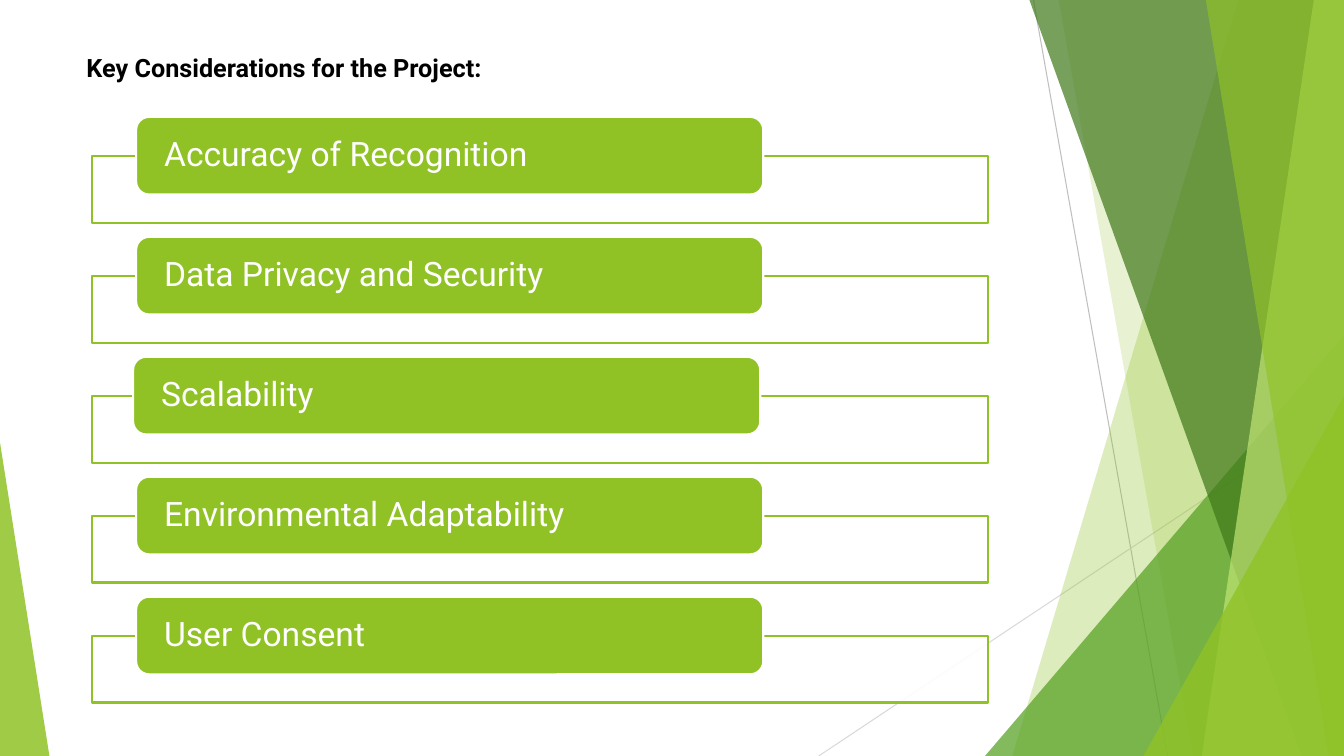
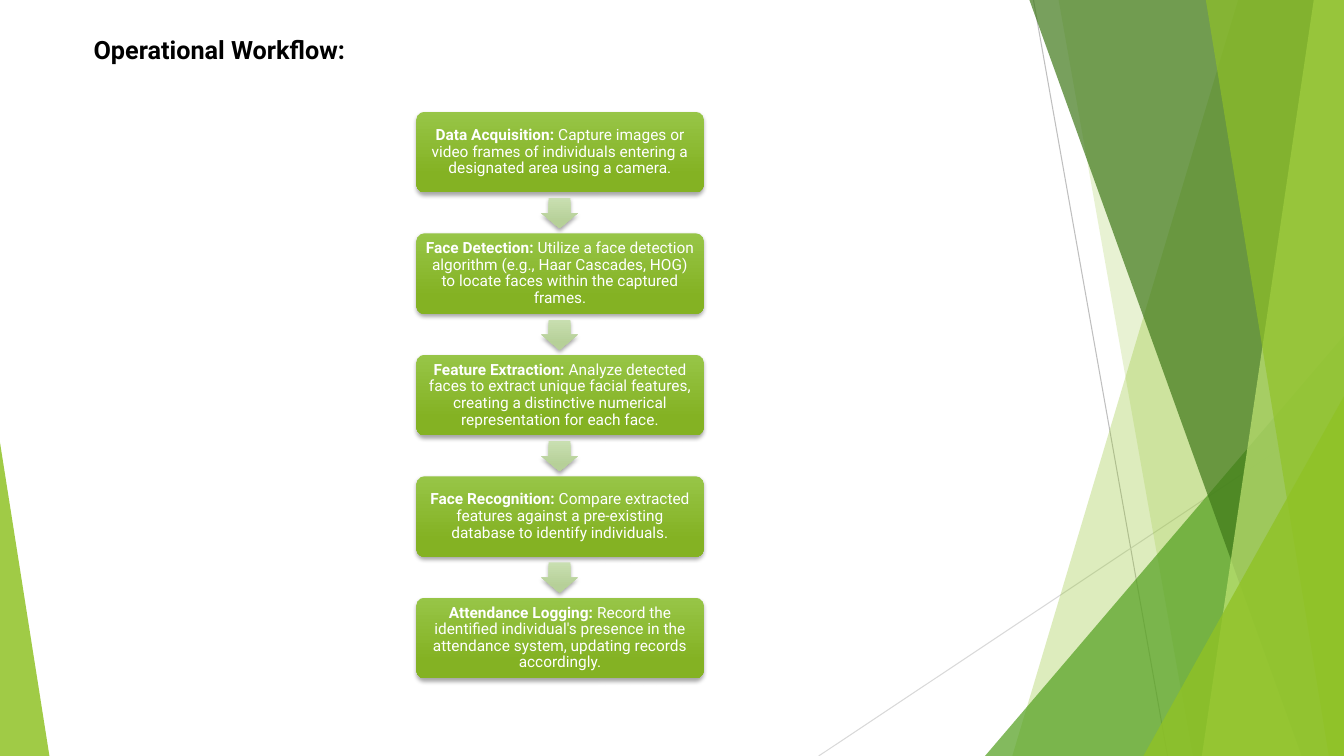
import dataclasses

import lxml.etree
import pptx
import pptx.dml.color
import pptx.enum.shapes
import pptx.enum.text
import pptx.oxml.ns
import pptx.util

Inches = pptx.util.Inches
Pt = pptx.util.Pt
SHAPE = pptx.enum.shapes.MSO_SHAPE
ALIGN = pptx.enum.text.PP_ALIGN
qn = pptx.oxml.ns.qn


@dataclasses.dataclass(frozen=True)
class Theme:
    font: str = "Roboto"
    title_size: int = 18
    tab_size: int = 24
    step_size: int = 11
    black: str = "000000"
    white: str = "FFFFFF"
    lime: str = "90C226"
    green: str = "54A021"
    dark_green: str = "3F7819"
    pale_lime: str = "C0E474"
    gray: str = "BFBFBF"
    light_gray: str = "D9D9D9"
    step_gradient: tuple = ("97C547", "84B223")
    arrow_gradient: tuple = ("C9DFB1", "B6D098")


THEME = Theme()
WIDTH, HEIGHT = 13.33, 7.5

CONSIDERATIONS = [
    ("Accuracy of Recognition", 1.35),
    ("Data Privacy and Security", 1.35),
    ("Scalability", 1.32),
    ("Environmental Adaptability", 1.35),
    ("User Consent", 1.35),
]

STEPS = [
    ("Data Acquisition:",
     " Capture images or video frames of individuals entering a designated area using a camera."),
    ("Face Detection:",
     " Utilize a face detection algorithm (e.g., Haar Cascades, HOG) to locate faces within the captured frames."),
    ("Feature Extraction:",
     " Analyze detected faces to extract unique facial features, creating a distinctive numerical "
     "representation for each face."),
    ("Face Recognition:",
     " Compare extracted features against a pre-existing database to identify individuals."),
    ("Attendance Logging:",
     " Record the identified individual's presence in the attendance system, updating records accordingly."),
]


def rgb(color):
    return pptx.dml.color.RGBColor.from_string(color)


def paint(sp, color, opacity=100):
    sp.shadow.inherit = False
    sp.fill.solid()
    sp.fill.fore_color.rgb = rgb(color)
    if opacity < 100:
        clr = sp.element.spPr.find(qn("a:solidFill")).find(qn("a:srgbClr"))
        lxml.etree.SubElement(clr, qn("a:alpha"), val=str(opacity * 1000))
    sp.line.fill.background()


def outline(sp, color, width=1.5):
    sp.line.color.rgb = rgb(color)
    sp.line.width = Pt(width)


def add_shape(s, kind, x, y, w, h, adjustments=()):
    sp = s.shapes.add_shape(kind, Inches(x), Inches(y), Inches(w), Inches(h))
    for i, value in enumerate(adjustments):
        sp.adjustments[i] = value
    return sp


def add_line(s, x1, y1, x2, y2, color):
    line = s.shapes.add_connector(pptx.enum.shapes.MSO_CONNECTOR.STRAIGHT,
                                  Inches(x1), Inches(y1), Inches(x2), Inches(y2))
    outline(line, color, 0.75)
    lxml.etree.SubElement(line.element.spPr, qn("a:effectLst"))


def add_band(s, top_left, bottom_left, color, opacity):
    start, *rest = [(Inches(x), Inches(y)) for x, y in (
        (top_left, 0), (WIDTH, 0), (WIDTH, HEIGHT), (bottom_left, HEIGHT))]
    builder = s.shapes.build_freeform(*start)
    builder.add_line_segments(rest, close=True)
    paint(builder.convert_to_shape(), color, opacity)


def add_corner(s, x, y, w, peak, color, opacity):
    sp = add_shape(s, SHAPE.ISOSCELES_TRIANGLE, x, y, w, HEIGHT - y, [peak])
    paint(sp, color, opacity)


def add_run(p, text, size, color, bold=False):
    r = p.add_run()
    r.text = text
    r.font.name = THEME.font
    r.font.size = Pt(size)
    r.font.bold = bold
    r.font.color.rgb = rgb(color)


def first_paragraph(sp, align, inset_x, inset_y):
    tf = sp.text_frame
    tf.word_wrap = True
    tf.vertical_anchor = pptx.enum.text.MSO_ANCHOR.MIDDLE
    tf.margin_left = tf.margin_right = Inches(inset_x)
    tf.margin_top = tf.margin_bottom = Inches(inset_y)
    p = tf.paragraphs[0]
    p.alignment = align
    p.line_spacing = 0.9
    return p


def add_title(s, text, x, y):
    tf = s.shapes.add_textbox(Inches(x), Inches(y), Inches(6.67), Inches(0.4)).text_frame
    tf.word_wrap = True
    add_run(tf.paragraphs[0], text, THEME.title_size, THEME.black, True)


def add_consideration(s, text, tab_x, y):
    frame = add_shape(s, SHAPE.RECTANGLE, 0.91, y, 8.89, 0.66)
    paint(frame, THEME.white, 90)
    outline(frame, THEME.lime)
    tab = add_shape(s, SHAPE.ROUNDED_RECTANGLE, tab_x, y - 0.39, 6.22, 0.77)
    paint(tab, THEME.lime)
    outline(tab, THEME.white)
    p = first_paragraph(tab, ALIGN.LEFT, 0.24, 0)
    add_run(p, text, THEME.tab_size, THEME.white)


def add_raised(s, kind, x, y, w, h, adjustments, gradient):
    sp = add_shape(s, kind, x, y, w, h, adjustments)
    sp.fill.gradient()
    sp.fill.gradient_angle = 270
    for stop, color, position in zip(sp.fill.gradient_stops, gradient, (0, 0.78)):
        stop.color.rgb = rgb(color)
        stop.position = position
    sp.line.fill.background()
    sp.shadow.inherit = False
    effects = sp.element.spPr.find(qn("a:effectLst"))
    shadow = lxml.etree.SubElement(effects, qn("a:outerShdw"), blurRad=str(Pt(3)),
                                   dist=str(Pt(2)), dir="5400000", rotWithShape="0")
    clr = lxml.etree.SubElement(shadow, qn("a:srgbClr"), val=THEME.black)
    lxml.etree.SubElement(clr, qn("a:alpha"), val="35000")
    return sp


def add_step(s, label, detail, y):
    box = add_raised(s, SHAPE.ROUNDED_RECTANGLE, 4.13, y, 2.85, 0.8, [0.1], THEME.step_gradient)
    p = first_paragraph(box, ALIGN.CENTER, 0.05, 0.05)
    add_run(p, label, THEME.step_size, THEME.white, True)
    add_run(p, detail, THEME.step_size, THEME.white)


def add_backdrop(s):
    add_line(s, 10.25, 0, 11.58, HEIGHT, THEME.gray)
    add_line(s, WIDTH, 4.03, 8.12, HEIGHT, THEME.light_gray)
    add_band(s, 12.28, 10.04, THEME.lime, 30)
    add_band(s, 10.5, 11.83, THEME.lime, 20)
    add_corner(s, 9.77, 3.33, 3.56, 1, THEME.green, 72)
    add_band(s, 10.21, 12.91, THEME.dark_green, 70)
    add_band(s, 13.03, 11.92, THEME.pale_lime, 70)
    add_band(s, 11.96, 13.18, THEME.lime, 65)
    add_corner(s, 11.34, 3.93, 1.99, 1, THEME.lime, 80)
    add_corner(s, 0, 4.39, 0.49, 0, THEME.lime, 85)


def move_to_layout(s, layout):
    tree = layout.shapes.element
    for placeholder in list(layout.placeholders):
        tree.remove(placeholder.element)
    for sp in list(s.shapes):
        tree.append(sp.element)


def build_considerations(s):
    add_title(s, "Key Considerations for the Project:", 0.76, 0.47)
    for i, (text, tab_x) in enumerate(CONSIDERATIONS):
        add_consideration(s, text, tab_x, 1.55 + 1.19 * i)


def build_workflow(s):
    add_title(s, "Operational Workflow:", 0.83, 0.29)
    for i, (label, detail) in enumerate(STEPS):
        y = 1.11 + 1.205 * i
        if i:
            add_raised(s, SHAPE.DOWN_ARROW, 5.37, y - 0.35, 0.36, 0.3, [0.6, 0.5],
                       THEME.arrow_gradient)
        add_step(s, label, detail, y)


def main():
    prs = pptx.Presentation()
    prs.slide_width = Inches(WIDTH)
    prs.slide_height = Inches(HEIGHT)
    layout = prs.slide_layouts[6]
    considerations = prs.slides.add_slide(layout)
    add_backdrop(considerations)
    move_to_layout(considerations, layout)
    build_considerations(considerations)
    build_workflow(prs.slides.add_slide(layout))
    prs.save("out.pptx")


if __name__ == "__main__":
    main()
